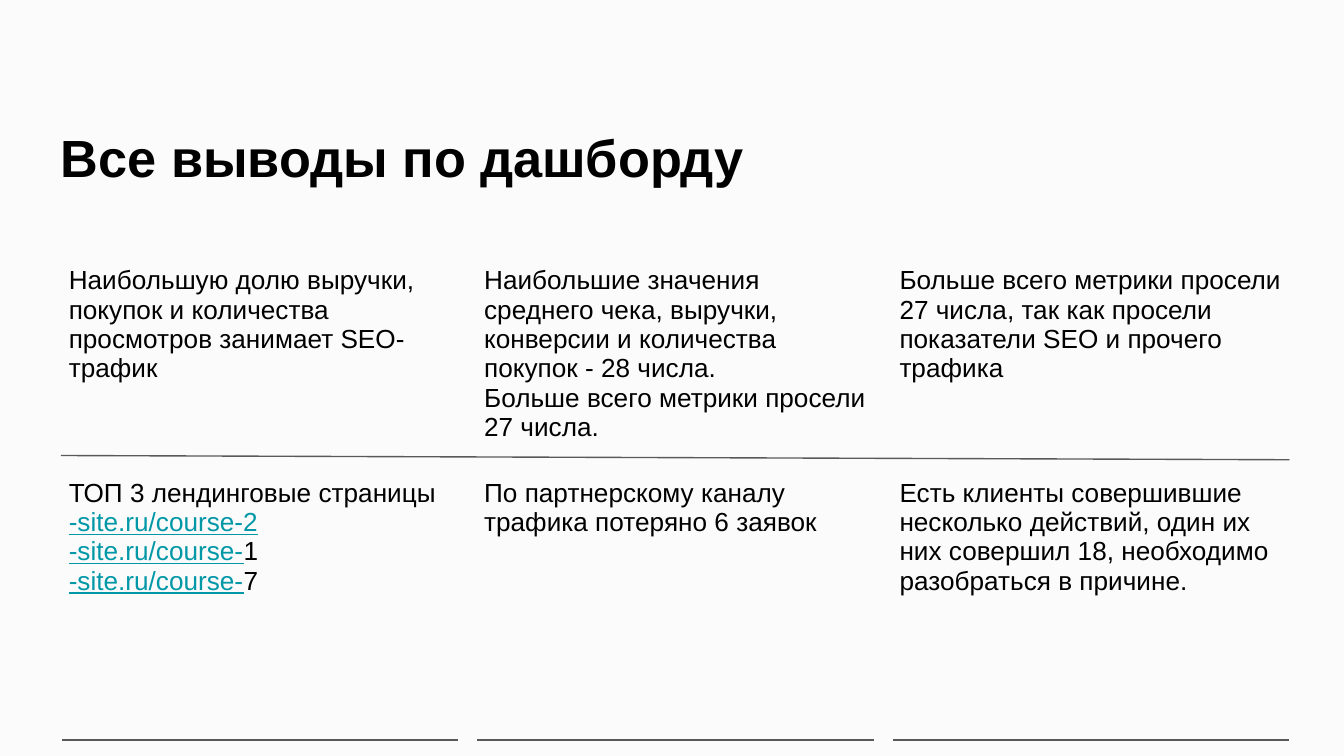
from lxml import etree
from pptx import Presentation
from pptx import util as u
from pptx.dml.color import RGBColor
from pptx.enum import shapes, text
from pptx.oxml.ns import qn

PAPER = RGBColor(0xFB, 0xFB, 0xFB)
INK = RGBColor(0, 0, 0)
LINK = RGBColor(0x00, 0x97, 0xA7)
RULE = RGBColor(0x59, 0x59, 0x59)

COLUMN, GAP = 7.49, 0.36
ROW_HEIGHTS = (4.01, 5)


def link(linked, plain=""):
    return [(linked, True), (plain, False)]


def plain(words):
    return [(words, False)]


FINDINGS = [
    [
        [plain("Наибольшую долю выручки, покупок и количества просмотров занимает SEO-трафик")],
        [plain("Наибольшие значения среднего чека, выручки, конверсии и количества покупок - 28 числа."),
         plain("Больше всего метрики просели 27 числа.")],
        [plain("Больше всего метрики просели 27 числа, так как просели показатели SEO и прочего трафика")],
    ],
    [
        [plain("ТОП 3 лендинговые страницы"),
         link("-site.ru/course-2"),
         link("-site.ru/course-", "1"),
         link("-site.ru/course-", "7")],
        [plain("По партнерскому каналу трафика потеряно 6 заявок")],
        [plain("Есть клиенты совершившие несколько действий, один их них совершил 18, "
               "необходимо разобраться в причине.")],
    ],
]


class Deck:
    font = "Arial"

    def __init__(self, width, height):
        self.prs = Presentation()
        self.prs.slide_width, self.prs.slide_height = u.Cm(width), u.Cm(height)
        self.s = self.prs.slides.add_slide(self.prs.slide_layouts[5])
        fill = self.s.background.fill
        fill.solid()
        fill.fore_color.rgb = PAPER

    def apply(self, target, values):
        for name, value in values.items():
            setattr(target, name, value)

    def run(self, p, words, size, color=INK, **values):
        r = p.add_run()
        r.text = words
        self.apply(r.font, {"name": self.font, "size": u.Pt(size), **values})
        r.font.color.rgb = color

    def title(self, words, left, top, width, height):
        sp = self.s.shapes.title
        self.apply(sp, {"left": u.Cm(left), "top": u.Cm(top),
                        "width": u.Cm(width), "height": u.Cm(height)})
        tf = sp.text_frame
        self.apply(tf, {"margin_left": 0, "margin_right": 0, "margin_top": 0,
                        "margin_bottom": 0, "word_wrap": True,
                        "auto_size": text.MSO_AUTO_SIZE.NONE,
                        "vertical_anchor": text.MSO_ANCHOR.MIDDLE})
        p = tf.paragraphs[0]
        self.apply(p, {"alignment": text.PP_ALIGN.LEFT, "line_spacing": 0.9})
        self.run(p, words, 28, bold=True)

    def borders(self, cell, ruled):
        tc_pr = cell._tc.get_or_add_tcPr()
        for side in ("lnL", "lnR", "lnT", "lnB"):
            ln = etree.SubElement(tc_pr, qn(f"a:{side}"), w=str(u.Pt(1)))
            if ruled and side == "lnB":
                fill = etree.SubElement(ln, qn("a:solidFill"))
                etree.SubElement(fill, qn("a:srgbClr"), val=str(RULE))
            else:
                etree.SubElement(ln, qn("a:noFill"))

    def cell(self, cell, paragraphs, ruled):
        self.borders(cell, ruled)
        cell.fill.background()
        self.apply(cell, {"margin_left": u.Cm(0.13), "margin_right": u.Cm(0.13),
                          "margin_top": u.Cm(0.05), "margin_bottom": u.Cm(0.05)})
        tf = cell.text_frame
        for i, runs in enumerate(paragraphs):
            p = tf.add_paragraph() if i else tf.paragraphs[0]
            for words, linked in runs:
                if words:
                    self.run(p, words, 14, LINK if linked else INK, underline=linked)

    def table(self, rows, left, top):
        count = 2 * len(rows[0]) - 1
        widths = [GAP if i % 2 else COLUMN for i in range(count)]
        sp = self.s.shapes.add_table(len(rows), count, u.Cm(left), u.Cm(top),
                                     u.Cm(sum(widths)), u.Cm(sum(ROW_HEIGHTS)))
        table = sp.table
        self.apply(table, {"first_row": False, "horz_banding": False})
        for column, width in zip(table.columns, widths):
            column.width = u.Cm(width)
        for i, row in enumerate(rows):
            table.rows[i].height = u.Cm(ROW_HEIGHTS[i])
            for j in range(count):
                is_gap = j % 2 == 1
                ruled = i == len(rows) - 1 and not is_gap
                self.cell(table.cell(i, j), [] if is_gap else row[j // 2], ruled)

    def line(self, x1, y1, x2, y2):
        sp = self.s.shapes.add_connector(shapes.MSO_CONNECTOR.STRAIGHT,
                                         u.Cm(x1), u.Cm(y1), u.Cm(x2), u.Cm(y2))
        sp.line.color.rgb = RULE
        sp.line.width = u.Pt(0.75)
        etree.SubElement(sp._element.spPr, qn("a:effectLst"))


def main():
    deck = Deck(25.4, 14.29)
    deck.title("Все выводы по дашборду", 1.15, 2.44, 23.1, 1.2)
    deck.table(FINDINGS, 1.17, 4.98)
    deck.line(24.37, 8.69, 1.15, 8.61)
    deck.prs.save("out.pptx")


if __name__ == "__main__":
    main()
